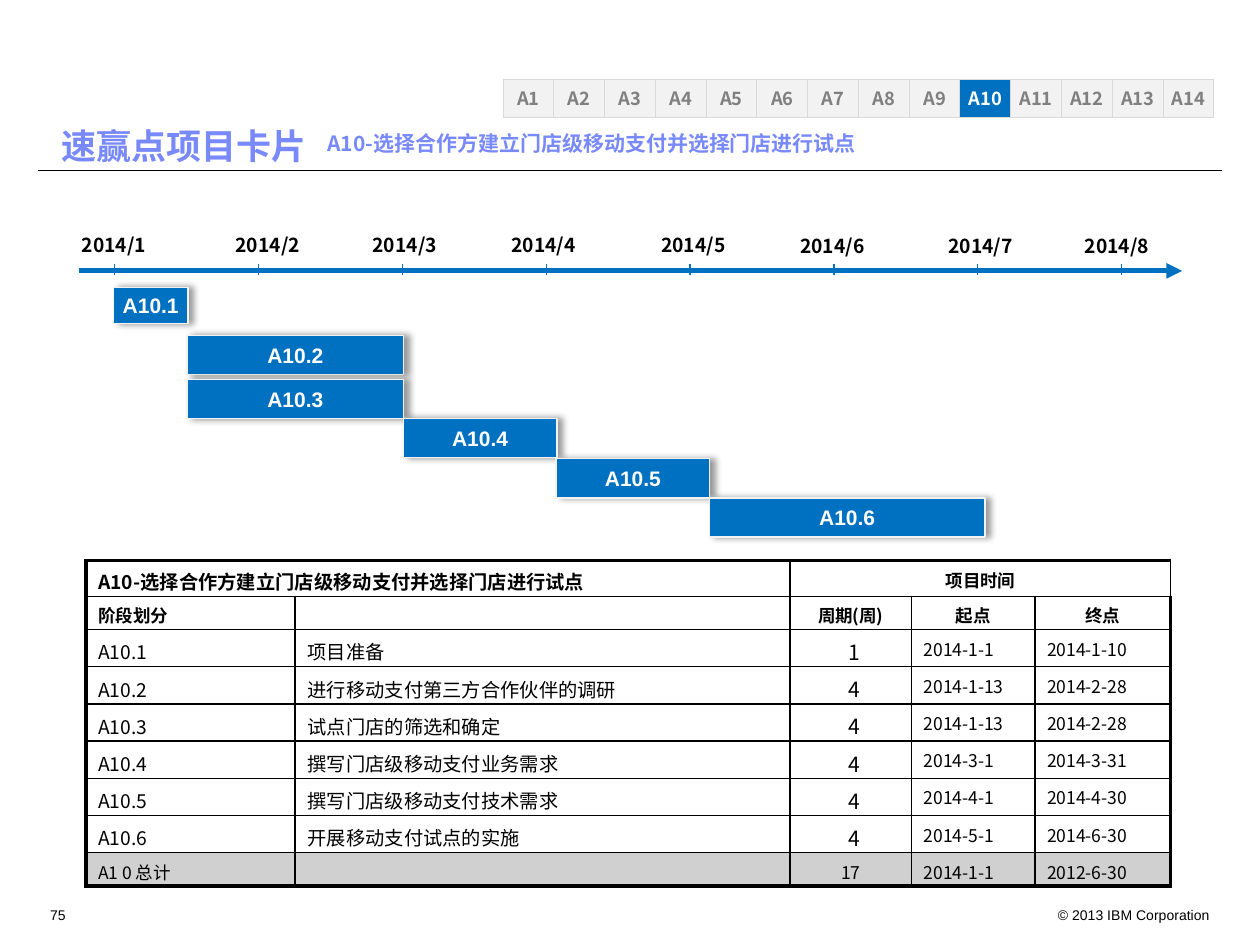
from lxml import etree
from pptx import Presentation
from pptx import util as u
from pptx.dml.color import RGBColor
from pptx.enum import shapes, text
from pptx.oxml.ns import qn

HEADING = "速赢点项目卡片"
PROJECT = "A10-选择合作方建立门店级移动支付并选择门店进行试点"
TABS = [f"A{i}" for i in range(1, 15)]
ACTIVE_TAB = "A10"
MONTHS = [
    ("2014/1", 1.4, 4.57, 2.29), ("2014/2", 4.5, 4.57, 2.29),
    ("2014/3", 7.26, 4.57, 2.01), ("2014/4", 10.06, 4.57, 2.01),
    ("2014/5", 13.08, 4.57, 2.01), ("2014/6", 15.88, 4.6, 2.01),
    ("2014/7", 18.87, 4.6, 2.01), ("2014/8", 21.62, 4.6, 2.01),
]
BARS = [
    ("A10.1", 2.29, 5.79, 1.5, 0.74), ("A10.2", 3.77, 6.76, 4.37, 0.79),
    ("A10.3", 3.77, 7.65, 4.37, 0.79), ("A10.4", 8.13, 8.44, 3.1, 0.79),
    ("A10.5", 11.21, 9.25, 3.1, 0.79), ("A10.6", 14.3, 10.04, 5.56, 0.79),
]
ROWS = [
    (PROJECT, "", "项目时间", "", ""),
    ("阶段划分", "", "周期(周)", "起点", "终点"),
    ("A10.1", "项目准备", "1", "2014-1-1", "2014-1-10"),
    ("A10.2", "进行移动支付第三方合作伙伴的调研", "4", "2014-1-13", "2014-2-28"),
    ("A10.3", "试点门店的筛选和确定", "4", "2014-1-13", "2014-2-28"),
    ("A10.4", "撰写门店级移动支付业务需求", "4", "2014-3-1", "2014-3-31"),
    ("A10.5", "撰写门店级移动支付技术需求", "4", "2014-4-1", "2014-4-30"),
    ("A10.6", "开展移动支付试点的实施", "4", "2014-5-1", "2014-6-30"),
    ("A1 0 总计", "", "17", "2014-1-1", "2012-6-30"),
]
COL_WIDTHS = [4.22, 9.98, 2.44, 2.49, 2.74]
ROW_HEIGHTS = [0.72, 0.67] + [0.75] * 6 + [0.67]
BODY_SIZES = [11, 11, 12, 10, 10]
THEME = {
    "latin": "Arial", "cjk": "Noto Sans CJK SC",
    "black": "000000", "white": "FFFFFF", "blue": "0070C0", "title": "7889FB",
    "tab": "F2F2F2", "tab_line": "D9D9D9", "tab_text": "808080", "total": "D0D0D0",
    "heading": 20, "subtitle": 12, "bar": 12, "month": 11, "tab_size": 10.5,
    "table_title": 11, "table": 10, "footer": 8,
}
T = THEME
LEFT, CENTER, RIGHT = text.PP_ALIGN.LEFT, text.PP_ALIGN.CENTER, text.PP_ALIGN.RIGHT


def rgb(name):
    return RGBColor.from_string(T[name])


def write(tf, words, size, font="cjk", color="black", bold=False, align=LEFT):
    p = tf.paragraphs[0]
    p.alignment = align
    if not words:
        etree.SubElement(p._p, qn("a:endParaRPr"), sz=str(size * 100))
        return
    r = p.add_run()
    r.text = words
    r.font.size = u.Pt(size)
    r.font.name = T[font]
    r.font.bold = bold
    r.font.color.rgb = rgb(color)
    etree.SubElement(r._r.get_or_add_rPr(), qn("a:ea"), typeface=T[font])


def add_text(s, box, words, size, wrap=True, grow=True, **style):
    tf = s.shapes.add_textbox(*map(u.Cm, box)).text_frame
    tf.word_wrap = wrap
    tf.auto_size = text.MSO_AUTO_SIZE.SHAPE_TO_FIT_TEXT if grow else text.MSO_AUTO_SIZE.NONE
    write(tf, words, size, **style)


def add_box(s, box, words, size, fill, line, width, inset, **style):
    sp = s.shapes.add_shape(shapes.MSO_SHAPE.RECTANGLE, *map(u.Cm, box))
    sp.shadow.inherit = False
    sp.fill.solid()
    sp.fill.fore_color.rgb = rgb(fill)
    sp.line.color.rgb = rgb(line)
    sp.line.width = u.Pt(width)
    tf = sp.text_frame
    tf.word_wrap = True
    tf.vertical_anchor = text.MSO_ANCHOR.MIDDLE
    tf.margin_left = tf.margin_right = u.Cm(inset[0])
    tf.margin_top = tf.margin_bottom = u.Cm(inset[1])
    write(tf, words, size, bold=True, align=CENTER, **style)
    return sp


def add_shadow(sp):
    effects = sp._element.spPr.find(qn("a:effectLst"))
    shadow = etree.SubElement(effects, qn("a:outerShdw"), blurRad=str(u.Pt(4)),
                              dist=str(u.Pt(3)), dir="0", algn="l", rotWithShape="0")
    color = etree.SubElement(shadow, qn("a:srgbClr"), val=T["black"])
    etree.SubElement(color, qn("a:alpha"), val="40000")


def add_line(s, x1, y1, x2, y2, color, width, arrow=False):
    line = s.shapes.add_connector(shapes.MSO_CONNECTOR.STRAIGHT, *map(u.Cm, (x1, y1, x2, y2)))
    line.line.color.rgb = rgb(color)
    line.line.width = u.Pt(width)
    if arrow:
        etree.SubElement(line.line._get_or_add_ln(), qn("a:tailEnd"), type="triangle")
    etree.SubElement(line._element.spPr, qn("a:effectLst"))


def add_borders(cell, row, col, last_row, last_col):
    outer = {"lnL": col == 0, "lnR": col == last_col, "lnT": row == 0, "lnB": row == last_row}
    tc_pr = cell._tc.get_or_add_tcPr()
    for side, thick in outer.items():
        ln = etree.SubElement(tc_pr, qn(f"a:{side}"), w=str(u.Pt(2.25 if thick else 1)))
        fill = etree.SubElement(ln, qn("a:solidFill"))
        etree.SubElement(fill, qn("a:srgbClr"), val=T["black"])


def add_schedule(s):
    frame = s.shapes.add_table(len(ROWS), len(COL_WIDTHS), u.Cm(1.73), u.Cm(11.3),
                               u.Cm(sum(COL_WIDTHS)), u.Cm(sum(ROW_HEIGHTS)))
    table = frame.table
    table.first_row = table.horz_banding = False
    for column, width in zip(table.columns, COL_WIDTHS):
        column.width = u.Cm(width)
    for row, height in zip(table.rows, ROW_HEIGHTS):
        row.height = u.Cm(height)
    last_row, last_col = len(ROWS) - 1, len(COL_WIDTHS) - 1
    for i, values in enumerate(ROWS):
        header, body = i < 2, 2 <= i < last_row
        for j, words in enumerate(values):
            cell = table.cell(i, j)
            add_borders(cell, i, j, last_row, last_col)
            cell.fill.solid()
            cell.fill.fore_color.rgb = rgb("total" if i == last_row else "white")
            cell.margin_left = u.Cm(0.25)
            cell.margin_right = u.Cm(0.1 if body and j < 3 else 0.25)
            cell.margin_top, cell.margin_bottom = u.Cm(0.13), 0
            if body and j < 3:
                cell.vertical_anchor = text.MSO_ANCHOR.MIDDLE
            size = BODY_SIZES[j] if body else T["table"]
            if words == PROJECT:
                size = T["table_title"]
            centered = j == 2 or (header and j > 2)
            write(cell.text_frame, words, size, bold=header, align=CENTER if centered else LEFT)
    table.cell(0, 0).merge(table.cell(0, 1))
    table.cell(0, 2).merge(table.cell(0, last_col))


def main():
    prs = Presentation()
    prs.slide_width, prs.slide_height = u.Cm(25.4), u.Cm(19.05)
    s = prs.slides.add_slide(prs.slide_layouts[6])

    add_line(s, 0.76, 3.43, 24.64, 3.43, "black", 0.75)
    add_text(s, (20.83, 18.16, 3.81, 0.51), "© 2013 IBM Corporation", T["footer"],
             grow=False, font="latin", align=RIGHT)
    add_text(s, (0.76, 18.16, 1.02, 0.51), "75", T["footer"], grow=False, font="latin")
    add_text(s, (0.99, 2.39, 5.51, 1.12), HEADING, T["heading"],
             wrap=False, color="title", bold=True)
    add_text(s, (6.35, 2.51, 13.18, 0.86), PROJECT, T["subtitle"],
             wrap=False, color="title", bold=True)

    tab_width = 14.33 / len(TABS)
    for i, name in enumerate(TABS):
        active = name == ACTIVE_TAB
        add_box(s, (10.14 + i * tab_width, 1.6, tab_width, 0.76), name, T["tab_size"],
                "blue" if active else "tab", "tab_line", 0.5, (0.08, 0.08),
                color="white" if active else "tab_text")

    add_schedule(s)

    add_line(s, 1.6, 5.46, 23.83, 5.46, "blue", 3, arrow=True)
    for i, (month, left, top, width) in enumerate(MONTHS):
        tick = 2.31 + i * 2.9
        add_line(s, tick, 5.32, tick, 5.54, "blue", 0.75)
        add_text(s, (left, top, width, 0.71), month, T["month"], bold=True)

    for name, *box in BARS:
        add_shadow(add_box(s, box, name, T["bar"], "blue", "tab", 0.75, (0, 0.13),
                           font="latin", color="white"))

    prs.save("out.pptx")


if __name__ == "__main__":
    main()
